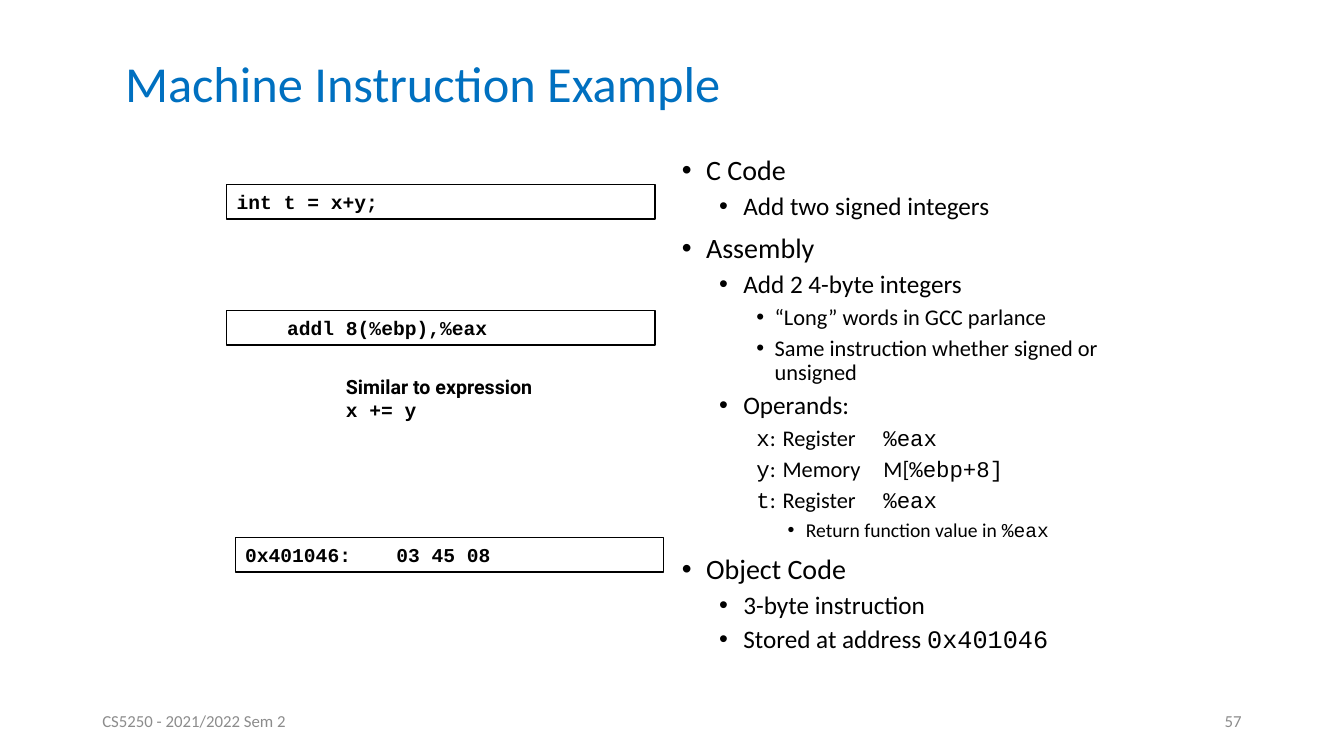
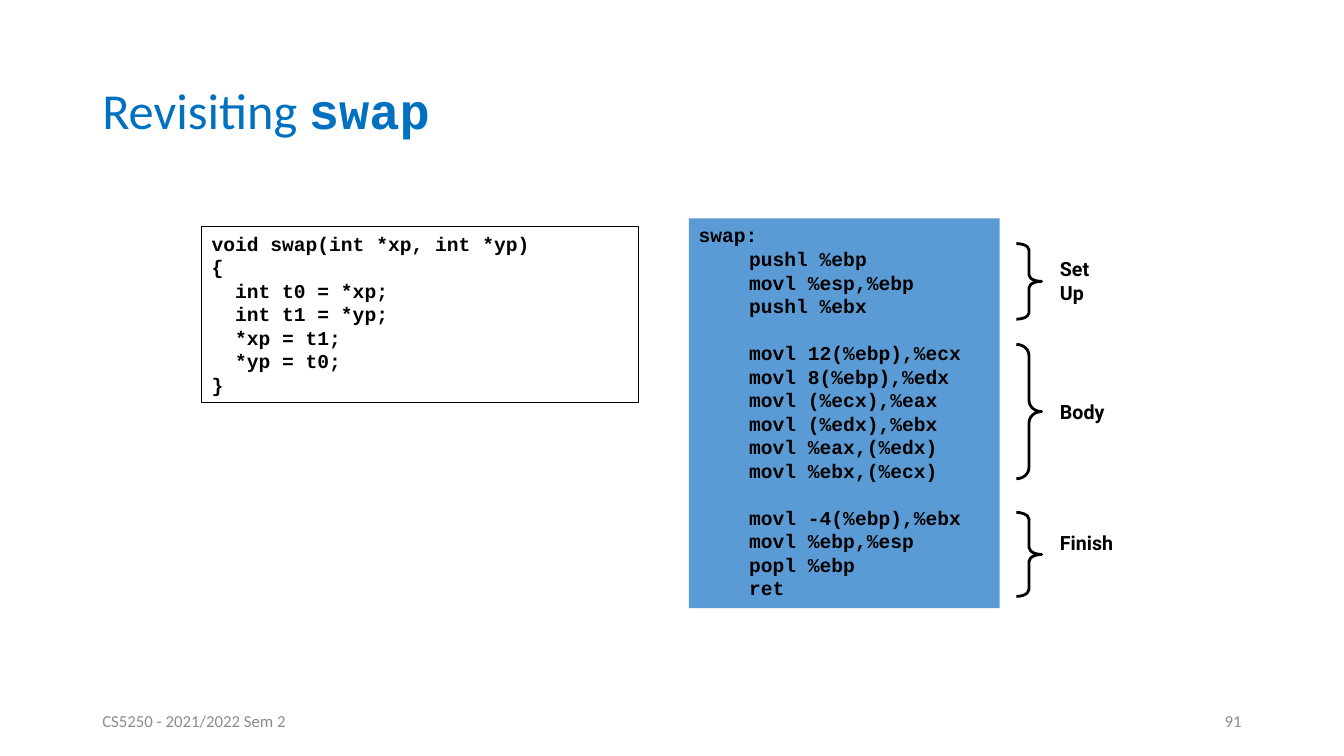
import pptx
import pptx.dml.color
import pptx.enum.shapes
import pptx.enum.text
import pptx.oxml.ns
import pptx.util
from lxml import etree

RGBColor = pptx.dml.color.RGBColor
Anchor = pptx.enum.text.MSO_ANCHOR
Align = pptx.enum.text.PP_ALIGN
AutoSize = pptx.enum.text.MSO_AUTO_SIZE
ShapeType = pptx.enum.shapes.MSO_SHAPE

TITLE_BLUE = RGBColor(0x00, 0x70, 0xC0)
PANEL_BLUE = RGBColor(0x5B, 0x9B, 0xD5)
FOOTER_GRAY = RGBColor(0x8C, 0x8C, 0x8C)
BLACK = RGBColor(0x00, 0x00, 0x00)

TEXT_FONT, CODE_FONT, LABEL_FONT = "Calibri", "Courier New", "Roboto"
TITLE_FORMAT = {"name": TEXT_FONT, "size": 36, "color": TITLE_BLUE}
FOOTER_FORMAT = {"name": TEXT_FONT, "size": 12, "color": FOOTER_GRAY}
CODE_FORMAT = {"name": CODE_FONT, "size": 14, "color": BLACK, "bold": True}
LABEL_FORMAT = {"name": LABEL_FONT, "size": 14, "color": BLACK, "bold": True}

# The slide is a grid of 160 columns by 90 rows, twelve cells to the inch.
COLUMNS, ROWS = 160, 90
MARGIN = 11
CODE_LINE_HEIGHT = 4.1
CODE_TABS = (0.5, 2)
OPERAND_TABS = (1.88, 2.87)

# Outline level: text size, left margin, hanging indent, space before.
LEVELS = (
    (20, 0.24, 0.24, 10),
    (18, 0.61, 0.24, 5),
    (16, 0.92, 0.18, 5),
    (14, 1.23, 0.18, 5),
)
OPERAND_LEVEL = 2

# Text between backticks is set in the code font.
OUTLINE = (
    (0, "C Code"),
    (1, "Add two signed integers"),
    (0, "Assembly"),
    (1, "Add 2 4-byte integers"),
    (2, "“Long” words in GCC parlance"),
    (2, "Same instruction whether signed or unsigned"),
    (1, "Operands:"),
    (2, "`x`:\tRegister\t`%eax`"),
    (2, "`y`:\tMemory\tM[`%ebp+8]`"),
    (2, "`t`:\tRegister\t`%eax`"),
    (3, "Return function value in `%eax`"),
    (0, "Object Code"),
    (1, "3-byte instruction"),
    (1, "Stored at address `0x401046`"),
)

SWAP_SOURCE = """void swap(int *xp, int *yp)
{
  int t0 = *xp;
  int t1 = *yp;
  *xp = t1;
  *yp = t0;
}"""

SWAP_ASSEMBLY = (
    ("pushl %ebp", "movl %esp,%ebp", "pushl %ebx"),
    ("movl 12(%ebp),%ecx", "movl 8(%ebp),%edx", "movl (%ecx),%eax",
     "movl (%edx),%ebx", "movl %eax,(%edx)", "movl %ebx,(%ecx)"),
    ("movl -4(%ebp),%ebx", "movl %ebp,%esp", "popl %ebp", "ret"),
)

# Brace top and height, label text, label top, width and height, in rows.
PHASES = (
    (3, 9, "Set\nUp", 4, 6.1, 6.8),
    (15, 16, "Body", 21, 8.3, 4.1),
    (35, 10, "Finish", 36.6, 9.2, 4),
)


def cells(count):
    return pptx.util.Inches(count / 12)


def place(box):
    return [cells(length) for length in box]


def set_attributes(target, values):
    for name, value in values.items():
        setattr(target, name, value)


def add_run(paragraph, text, text_format):
    run = paragraph.add_run()
    run.text = text
    values = dict(text_format)
    run.font.color.rgb = values.pop("color")
    values["size"] = pptx.util.Pt(values["size"])
    set_attributes(run.font, values)


def add_marked_runs(paragraph, text, text_format, code_format):
    """Alternate between the two formats at each backtick."""
    for index, piece in enumerate(text.split("`")):
        if piece:
            add_run(paragraph, piece, code_format if index % 2 else text_format)


def set_layout(paragraph, margin=0, indent=0, bullet=None, tabs=()):
    properties = paragraph._p.get_or_add_pPr()
    properties.set("marL", str(pptx.util.Inches(margin)))
    properties.set("indent", str(pptx.util.Inches(indent)))
    qualified = pptx.oxml.ns.qn
    if bullet:
        etree.SubElement(properties, qualified("a:buFont"), typeface="Arial")
        etree.SubElement(properties, qualified("a:buChar"), char=bullet)
    else:
        etree.SubElement(properties, qualified("a:buNone"))
    if tabs:
        tab_list = etree.SubElement(properties, qualified("a:tabLst"))
        for position in tabs:
            etree.SubElement(tab_list, qualified("a:tab"), algn="l",
                             pos=str(pptx.util.Inches(position)))


def next_paragraph(frame, index):
    return frame.add_paragraph() if index else frame.paragraphs[0]


def add_text_frame(slide, box, **frame_values):
    frame = slide.shapes.add_textbox(*place(box)).text_frame
    set_attributes(frame, {"word_wrap": True, **frame_values})
    return frame


def add_title(slide, box, text):
    frame = add_text_frame(slide, box, vertical_anchor=Anchor.MIDDLE)
    paragraph = frame.paragraphs[0]
    paragraph.line_spacing = 0.9
    code_format = {**TITLE_FORMAT, "name": CODE_FONT, "bold": True}
    add_marked_runs(paragraph, text, TITLE_FORMAT, code_format)


def add_footer(slide, number):
    width = 36
    parts = (
        (MARGIN, "CS5250 - 2021/2022 Sem 2", Align.LEFT),
        (COLUMNS - MARGIN - width, str(number), Align.RIGHT),
    )
    for left, text, alignment in parts:
        frame = add_text_frame(slide, (left, 83.4, width, 4.8),
                               vertical_anchor=Anchor.MIDDLE)
        paragraph = frame.paragraphs[0]
        paragraph.alignment = alignment
        add_run(paragraph, text, FOOTER_FORMAT)


def add_code_box(slide, box, code, fill=None):
    """Draw code on a filled panel, or in a thin black frame without fill."""
    shape = slide.shapes.add_shape(ShapeType.RECTANGLE, *place(box))
    shape.shadow.inherit = False
    if fill:
        shape.fill.solid()
        shape.fill.fore_color.rgb = fill
        shape.line.fill.background()
    else:
        shape.fill.background()
        shape.line.color.rgb = BLACK
        shape.line.width = pptx.util.Pt(1)
    frame = shape.text_frame
    set_attributes(frame, {"word_wrap": True, "vertical_anchor": Anchor.TOP,
                           "auto_size": AutoSize.SHAPE_TO_FIT_TEXT})
    for index, line in enumerate(code.split("\n")):
        paragraph = next_paragraph(frame, index)
        set_layout(paragraph, tabs=CODE_TABS)
        paragraph.alignment = Align.LEFT
        add_run(paragraph, line, CODE_FORMAT)


def add_label(slide, box, text, wrap=False):
    frame = add_text_frame(slide, box, word_wrap=wrap,
                           auto_size=AutoSize.SHAPE_TO_FIT_TEXT)
    code_format = {**LABEL_FORMAT, "name": CODE_FONT}
    for index, line in enumerate(text.split("\n")):
        add_marked_runs(next_paragraph(frame, index), line,
                        LABEL_FORMAT, code_format)


def add_outline(slide, box):
    frame = add_text_frame(slide, box)
    for index, (level, text) in enumerate(OUTLINE):
        size, margin, hanging, space_before = LEVELS[level]
        paragraph = next_paragraph(frame, index)
        if "\t" in text:
            set_layout(paragraph, indent=margin - hanging, tabs=OPERAND_TABS)
        else:
            set_layout(paragraph, margin, -hanging, "•")
        paragraph.level = level
        paragraph.line_spacing = 0.9
        paragraph.space_before = pptx.util.Pt(space_before if index else 0)
        text_format = {"name": TEXT_FONT, "size": size, "color": BLACK}
        add_marked_runs(paragraph, text, text_format,
                        {**text_format, "name": CODE_FONT})


def add_code_stages(slide, box):
    """Stack the C, assembly and object code down the left of the slide."""
    left, top, width, _ = box
    stages = (
        (0, 0, "int t = x+y;"),
        (0, 15, "\taddl 8(%ebp),%eax"),
        (1, 42, "0x401046:\t03 45 08"),
    )
    for shift, row, code in stages:
        add_code_box(slide, (left + shift, top + row, width, CODE_LINE_HEIGHT),
                     code)
    add_label(slide, (left + 13, top + 22, 25, 6.8),
              "Similar to expression` x += y`", wrap=True)


def add_phases(slide, box):
    """Bracket the phases of the assembly code that fills the given box."""
    left, top, width, _ = box
    brace_left = left + width + 2
    for brace_row, height, text, label_row, label_width, label_height in PHASES:
        brace = slide.shapes.add_shape(
            ShapeType.RIGHT_BRACE,
            *place((brace_left, top + brace_row, 3, height)))
        brace.shadow.inherit = False
        brace.fill.background()
        brace.line.color.rgb = BLACK
        brace.line.width = pptx.util.Pt(2)
        brace.adjustments[0] = height / 36
        add_label(slide, (brace_left + 4, top + label_row,
                          label_width, label_height), text)


def add_slide(presentation, number):
    slide = presentation.slides.add_slide(presentation.slide_layouts[6])
    add_footer(slide, number)
    return slide


def build_instruction_slide(presentation):
    slide = add_slide(presentation, 57)
    add_title(slide, (13.7, 4.8, 112, 11), "Machine Instruction Example")
    add_outline(slide, (80, 18, 60, 72))
    add_code_stages(slide, (27, 22, 51, 46))


def build_swap_slide(presentation):
    slide = add_slide(presentation, 91)
    add_title(slide, (MARGIN, 4.8, COLUMNS - 2 * MARGIN, 17.4),
              "Revisiting `swap`")
    add_code_box(slide, (24, 27, 52, 20.9), SWAP_SOURCE)
    assembly_box = (82, 26, 37, 46.4)
    phases = ("\n".join("\t" + line for line in phase)
              for phase in SWAP_ASSEMBLY)
    add_code_box(slide, assembly_box, "swap:\n" + "\n\t\n".join(phases),
                 PANEL_BLUE)
    add_phases(slide, assembly_box)


def main():
    presentation = pptx.Presentation()
    presentation.slide_width = cells(COLUMNS)
    presentation.slide_height = cells(ROWS)
    build_instruction_slide(presentation)
    build_swap_slide(presentation)
    presentation.save("out.pptx")


if __name__ == "__main__":
    main()
